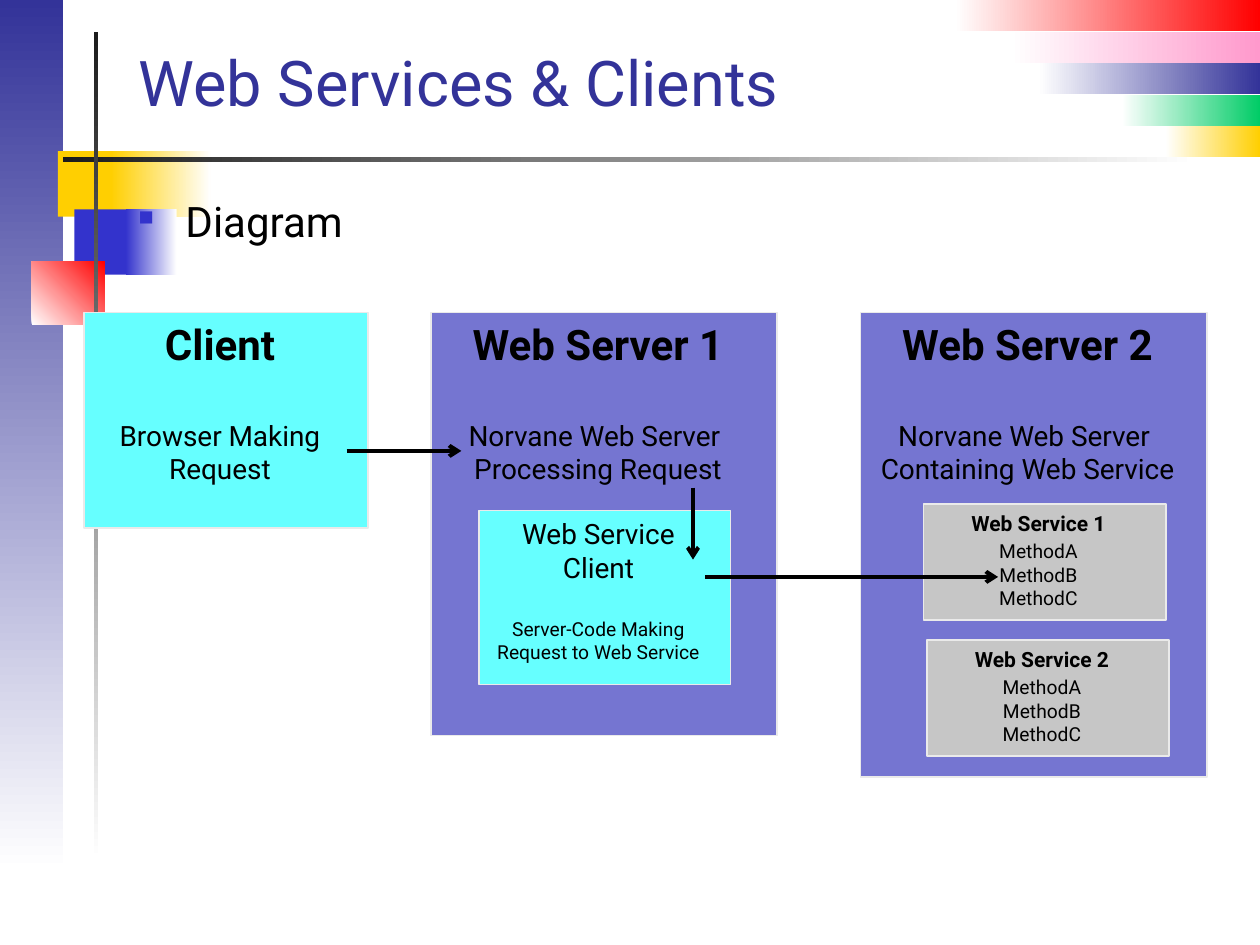
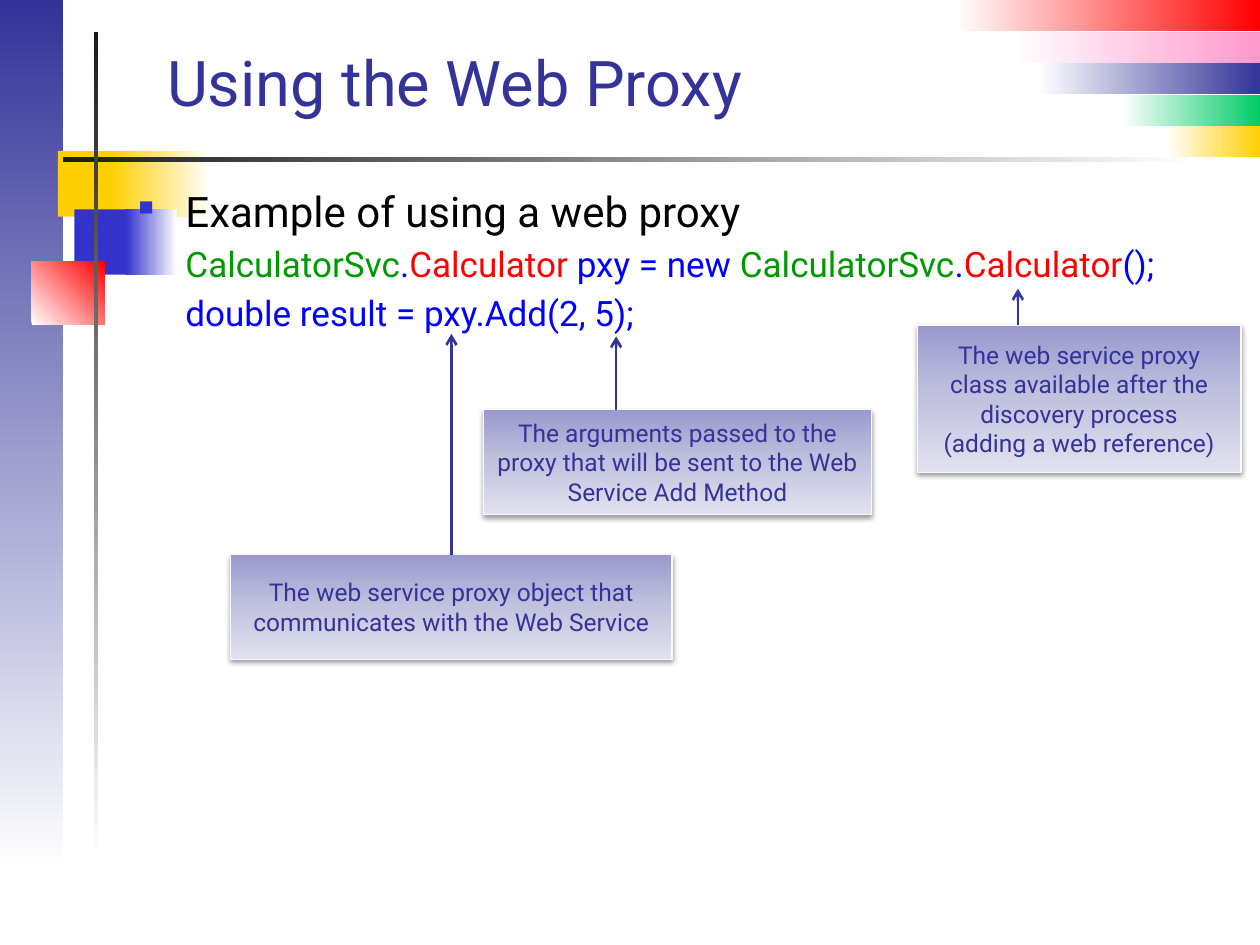
"""Builds two slides on web services, their clients and the web proxy."""
import copy

import lxml.etree
import pptx
import pptx.dml.color
import pptx.enum.shapes
import pptx.enum.text
import pptx.oxml.ns
import pptx.util

Cm, Pt = pptx.util.Cm, pptx.util.Pt
qn = pptx.oxml.ns.qn
ALIGN = pptx.enum.text.PP_ALIGN
ANCHOR = pptx.enum.text.MSO_ANCHOR

FONT = "Roboto"
SLIDE_W, SLIDE_H = 25.4, 19.05
BAND_H = 2.54 / 4
COLORS = {
    "white": "FFFFFF", "black": "000000", "ink": "1C1C1C", "navy": "333399",
    "blue": "3333CC", "yellow": "FFCF01", "red": "FF0000", "pink": "FF99CC",
    "mint": "00CC66", "cyan": "66FFFF", "violet": "7575D1", "gray": "C6C6C6",
    "edge": "EAEAEA", "code": "0000FF", "namespace": "009900",
    "note_top": "9999CE", "note_mid": "C2C2DF", "note_low": "E1E1EF",
    "note_edge": "F9F9F9",
}

BANDS = [("red", 6.15), ("pink", 5.03), ("navy", 4.47), ("mint", 2.79), ("yellow", 1.9)]
DECOR = [
    ((1.17, 3.05, 1.22, 1.32), ["yellow"], 0),
    ((2.24, 3.05, 2.01, 1.32), ["yellow", "white"], 0),
    ((1.5, 4.22, 1.17, 1.32), ["blue"], 0),
    ((2.54, 4.22, 1.02, 1.32), ["blue", "white"], 0),
    ((1.27, 3.16, 22.86, 0.1), ["ink", "white"], 0),
    ((0.64, 5.28, 1.47, 1.27), ["white", "red"], 315),
    ((1.9, 0.64, 0.08, 16.71), ["ink", "white"], 90),
]

METHODS = ["MethodA", "MethodB", "MethodC"]
DIAGRAM_BOXES = [
    ((1.7, 6.3, 5.72, 4.34), "cyan",
     [(["Client"], 24, True, 0), (["Browser Making", "Request"], 16, False, 28)]),
    ((8.69, 6.3, 6.98, 8.53), "violet",
     [(["Web Server 1"], 24, True, 0),
      (["Norvane Web Server ", "Processing Request"], 16, False, 28)]),
    ((9.65, 10.29, 5.08, 3.51), "cyan",
     [(["Web Service", "Client"], 16, False, 0),
      (["Server-Code Making", "Request to Web Service"], 11, False, 19)]),
    ((17.35, 6.3, 6.98, 9.37), "violet",
     [(["Web Server 2"], 24, True, 0),
      (["Norvane Web Server ", "Containing Web Service"], 16, False, 28)]),
    ((18.62, 10.16, 4.88, 2.34), "gray",
     [(["Web Service 1"], 12, True, 0), (METHODS, 11, False, 2.5)]),
    ((18.69, 12.9, 4.88, 2.34), "gray",
     [(["Web Service 2"], 12, True, 0), (METHODS, 11, False, 2.5)]),
]
DIAGRAM_ARROWS = [
    ((6.99, 9.09), (9.3, 9.09)),
    ((13.97, 9.83), (13.97, 11.28)),
    ((14.22, 11.63), (20.12, 11.63)),
]

CODE_LINES = [
    [("CalculatorSvc", "namespace"), (".", "code"), ("Calculator ", "red"),
     ("pxy = new ", "code"), ("CalculatorSvc", "namespace"), (".", "code"),
     ("Calculator", "red"), ("();", "code")],
    [("double result = pxy.Add(2, 5);", "code")],
]
CALLOUTS = [
    ((4.65, 11.18, 8.9, 2.11), (9.1, 6.73),
     ["The web service proxy object that communicates with the Web Service"]),
    ((9.75, 8.26, 7.82, 2.11), (12.42, 6.78),
     ["The arguments passed to the proxy that will be sent to the Web Service Add Method"]),
    ((18.49, 6.55, 6.53, 2.97), (20.52, 5.82),
     ["The web service proxy class available after the discovery process",
      "(adding a web reference)"]),
]


def rgb(name):
    return pptx.dml.color.RGBColor.from_string(COLORS[name])


def add_run(p, text, size, color, bold=False):
    r = p.add_run()
    r.text = text
    r.font.name, r.font.size, r.font.bold = FONT, Pt(size), bold
    r.font.color.rgb = rgb(color)


def next_paragraph(tf):
    return tf.add_paragraph() if tf.paragraphs[0].runs else tf.paragraphs[0]


def paint(s, names, angle):
    if len(names) == 1:
        s.fill.solid()
        s.fill.fore_color.rgb = rgb(names[0])
        return
    s.fill.gradient()
    s.fill.gradient_angle = (360 - angle) % 360
    stops = s._element.spPr.find(qn("a:gradFill")).find(qn("a:gsLst"))
    for _ in names[2:]:
        stops.append(copy.deepcopy(stops[0]))
    for i, (stop, name) in enumerate(zip(s.fill.gradient_stops, names)):
        stop.position = i / (len(names) - 1)
        stop.color.rgb = rgb(name)


def add_box(slide, at, names, angle=0, edge=None, width=1):
    s = slide.shapes.add_shape(pptx.enum.shapes.MSO_SHAPE.RECTANGLE, *map(Cm, at))
    s.shadow.inherit = False
    paint(s, names, angle)
    if edge:
        s.line.color.rgb = rgb(edge)
        s.line.width = Pt(width)
    else:
        s.line.fill.background()
    return s


def add_arrow(slide, start, end, color, width):
    s = slide.shapes.add_connector(
        pptx.enum.shapes.MSO_CONNECTOR.STRAIGHT, *map(Cm, start + end))
    s.line.color.rgb = rgb(color)
    s.line.width = Pt(width)
    sp = s._element.spPr
    lxml.etree.SubElement(sp.find(qn("a:ln")), qn("a:tailEnd"), type="arrow")
    lxml.etree.SubElement(sp, qn("a:effectLst"))
    return s


def add_text_box(slide, at):
    tf = slide.shapes.add_textbox(*map(Cm, at)).text_frame
    tf.word_wrap = True
    return tf


def add_body_line(tf, size, runs, bullet=False):
    p = next_paragraph(tf)
    p.space_before = Pt(4)
    pr = p._p.get_or_add_pPr()
    pr.set("marL", str(Cm(0.95)))
    pr.set("indent", str(-Cm(0.95) if bullet else 0))
    if bullet:
        clr = lxml.etree.SubElement(pr, qn("a:buClr"))
        lxml.etree.SubElement(clr, qn("a:srgbClr"), val=COLORS["blue"])
        lxml.etree.SubElement(pr, qn("a:buSzPct"), val="50000")
        lxml.etree.SubElement(pr, qn("a:buChar"), char="■")
    for text, color in runs:
        add_run(p, text, size, color)


def start_slide(prs, title, title_left):
    slide = prs.slides.add_slide(prs.slide_layouts[6])
    add_box(slide, (0, 0, 1.27, 17.58), ["navy", "white"], 90)
    for i, (color, width) in enumerate(BANDS):
        add_box(slide, (SLIDE_W - width, i * BAND_H, width, BAND_H), ["white", color])
    for at, names, angle in DECOR:
        add_box(slide, at, names, angle)
    tf = add_text_box(slide, (title_left, 0.64, 22.28, 1.88))
    tf.vertical_anchor = ANCHOR.BOTTOM
    add_run(tf.paragraphs[0], title, 36, "navy")
    return slide


def add_diagram_box(slide, at, color, blocks):
    tf = add_box(slide, at, [color], edge="edge").text_frame
    tf.word_wrap = False
    tf.vertical_anchor = ANCHOR.TOP
    tf.margin_left = 0
    for lines, size, bold, gap in blocks:
        for i, line in enumerate(lines):
            p = next_paragraph(tf)
            p.alignment = ALIGN.CENTER
            p.space_before = Pt(0 if i else gap)
            add_run(p, line, size, "black", bold)


def add_callout(slide, at, tip, lines):
    s = add_box(slide, at, ["note_top", "note_mid", "note_low"], 90, "note_edge", 0.75)
    effects = s._element.spPr.find(qn("a:effectLst"))
    shadow = lxml.etree.SubElement(
        effects, qn("a:outerShdw"), blurRad=str(Pt(3.1)), dist=str(Pt(1.6)),
        dir="5400000", rotWithShape="0")
    clr = lxml.etree.SubElement(shadow, qn("a:srgbClr"), val=COLORS["black"])
    lxml.etree.SubElement(clr, qn("a:alpha"), val="38000")
    tf = s.text_frame
    tf.word_wrap = True
    tf.vertical_anchor = ANCHOR.MIDDLE
    for line in lines:
        p = next_paragraph(tf)
        p.alignment = ALIGN.CENTER
        add_run(p, line, 14, "navy")
    left, top, width, _ = at
    arrow = add_arrow(slide, (tip[0], top), tip, "navy", 1.5)
    if abs(left + width / 2 - tip[0]) < 0.01:
        arrow.begin_connect(s, 0)


def build_diagram(prs):
    slide = start_slide(prs, "Web Services & Clients", 2.54)
    tf = add_text_box(slide, (2.54, 3.81, 22.33, 14.17))
    add_body_line(tf, 24, [("Diagram", "black")], bullet=True)
    for at, color, blocks in DIAGRAM_BOXES:
        add_diagram_box(slide, at, color, blocks)
    for start, end in DIAGRAM_ARROWS:
        add_arrow(slide, start, end, "black", 2.25)


def build_proxy(prs):
    slide = start_slide(prs, "Using the Web Proxy", 3.12)
    tf = add_text_box(slide, (2.54, 3.61, 22.33, 15.44))
    add_body_line(tf, 24, [("Example of using a web proxy", "black")], bullet=True)
    for runs in CODE_LINES:
        add_body_line(tf, 20, runs)
    for at, tip, lines in CALLOUTS:
        add_callout(slide, at, tip, lines)


def main():
    prs = pptx.Presentation()
    prs.slide_width, prs.slide_height = Cm(SLIDE_W), Cm(SLIDE_H)
    build_diagram(prs)
    build_proxy(prs)
    prs.save("out.pptx")


if __name__ == "__main__":
    main()
